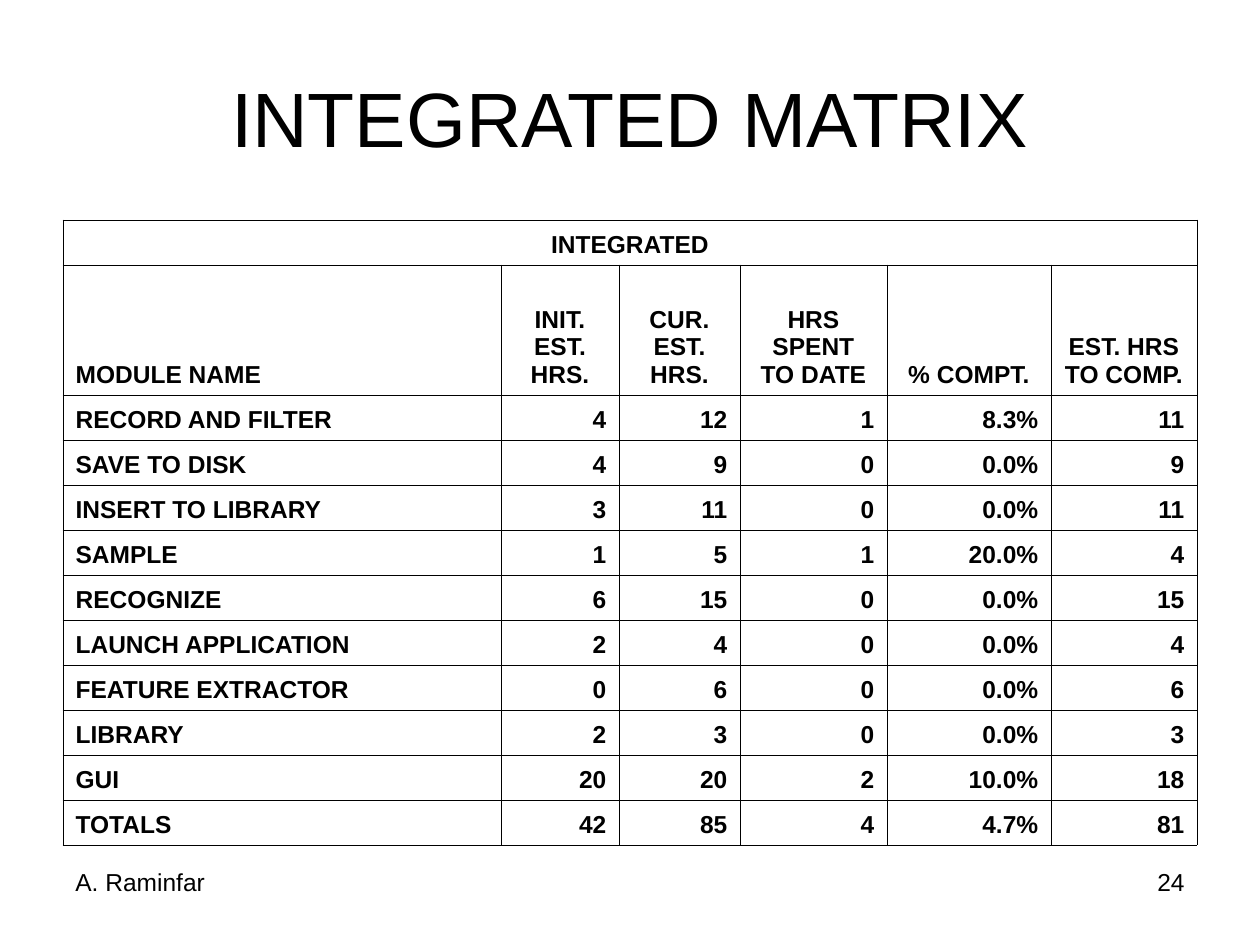
from lxml.etree import SubElement
from pptx import Presentation
from pptx.dml.color import RGBColor
from pptx.enum.text import MSO_ANCHOR as ANCHOR, PP_ALIGN as ALIGN
from pptx.oxml.ns import qn
from pptx.util import Pt

PX = 914400 / 126
BLACK = "000000"
BASE = {"name": "Arial", "size": Pt(14), "bold": False}
TITLE = {**BASE, "size": Pt(44)}
CELL = {**BASE, "bold": True}

COLS = [438, 118, 121, 147, 164, 146]
ROW_H, HEAD_H = 45, 130
HEADERS = ["MODULE NAME", "INIT. EST. HRS.", "CUR. EST. HRS.",
           "HRS SPENT TO DATE", "% COMPT.", "EST. HRS TO COMP."]
MODULES = [
    ["RECORD AND FILTER", "4", "12", "1", "8.3%", "11"],
    ["SAVE TO DISK", "4", "9", "0", "0.0%", "9"],
    ["INSERT TO LIBRARY", "3", "11", "0", "0.0%", "11"],
    ["SAMPLE", "1", "5", "1", "20.0%", "4"],
    ["RECOGNIZE", "6", "15", "0", "0.0%", "15"],
    ["LAUNCH APPLICATION", "2", "4", "0", "0.0%", "4"],
    ["FEATURE EXTRACTOR", "0", "6", "0", "0.0%", "6"],
    ["LIBRARY", "2", "3", "0", "0.0%", "3"],
    ["GUI", "20", "20", "2", "10.0%", "18"],
    ["TOTALS", "42", "85", "4", "4.7%", "81"],
]


def px(n):
    return round(n * PX)


def color(target, value):
    target.rgb = RGBColor.from_string(value)


def write(tf, text, fmt, align):
    p = tf.paragraphs[0]
    p.alignment = align
    r = p.add_run()
    r.text = text
    for key, value in fmt.items():
        setattr(r.font, key, value)
    color(r.font.color, BLACK)


def add_text(s, box, text, fmt=BASE, align=ALIGN.LEFT, anchor=ANCHOR.TOP):
    tf = s.shapes.add_textbox(*map(px, box)).text_frame
    tf.word_wrap = True
    tf.vertical_anchor = anchor
    write(tf, text, fmt, align)


def style_cell(cell):
    tcPr = cell._tc.get_or_add_tcPr()
    for side in ("lnL", "lnR", "lnT", "lnB"):
        ln = SubElement(tcPr, qn(f"a:{side}"), w=str(Pt(0.45)))
        fill = SubElement(ln, qn("a:solidFill"))
        SubElement(fill, qn("a:srgbClr"), val=BLACK)
    cell.fill.background()
    cell.vertical_anchor = ANCHOR.BOTTOM


def add_matrix(s, box):
    rows = [["INTEGRATED"], HEADERS, *MODULES]
    table = s.shapes.add_table(len(rows), len(COLS), *map(px, box)).table
    table.first_row = table.horz_banding = False
    for col, w in zip(table.columns, COLS):
        col.width = px(w)
    for i, row in enumerate(table.rows):
        row.height = px(HEAD_H if i == 1 else ROW_H)
    for cell in table.iter_cells():
        style_cell(cell)
    table.cell(0, 0).merge(table.cell(0, len(COLS) - 1))
    for i, row in enumerate(rows):
        for j, text in enumerate(row):
            if i == 0 or (i == 1 and j):
                align = ALIGN.CENTER
            else:
                align = ALIGN.RIGHT if j else ALIGN.LEFT
            write(table.cell(i, j).text_frame, text, CELL, align)


def add_footer(s, box):
    x, y, w, h = box
    part = 294
    add_text(s, (x, y, part, h), "A. Raminfar")
    add_text(s, (x + w - part, y, part, h), "24", align=ALIGN.RIGHT)


def main():
    prs = Presentation()
    prs.slide_width, prs.slide_height = px(1260), px(945)
    s = prs.slides.add_slide(prs.slide_layouts[6])
    x, w = 63, sum(COLS)
    add_text(s, (x, 38, w, 157), "INTEGRATED MATRIX", TITLE, ALIGN.CENTER, ANCHOR.MIDDLE)
    add_matrix(s, (x, 220, w, 625))
    add_footer(s, (x, 861, w, 66))
    prs.save("out.pptx")


if __name__ == "__main__":
    main()
